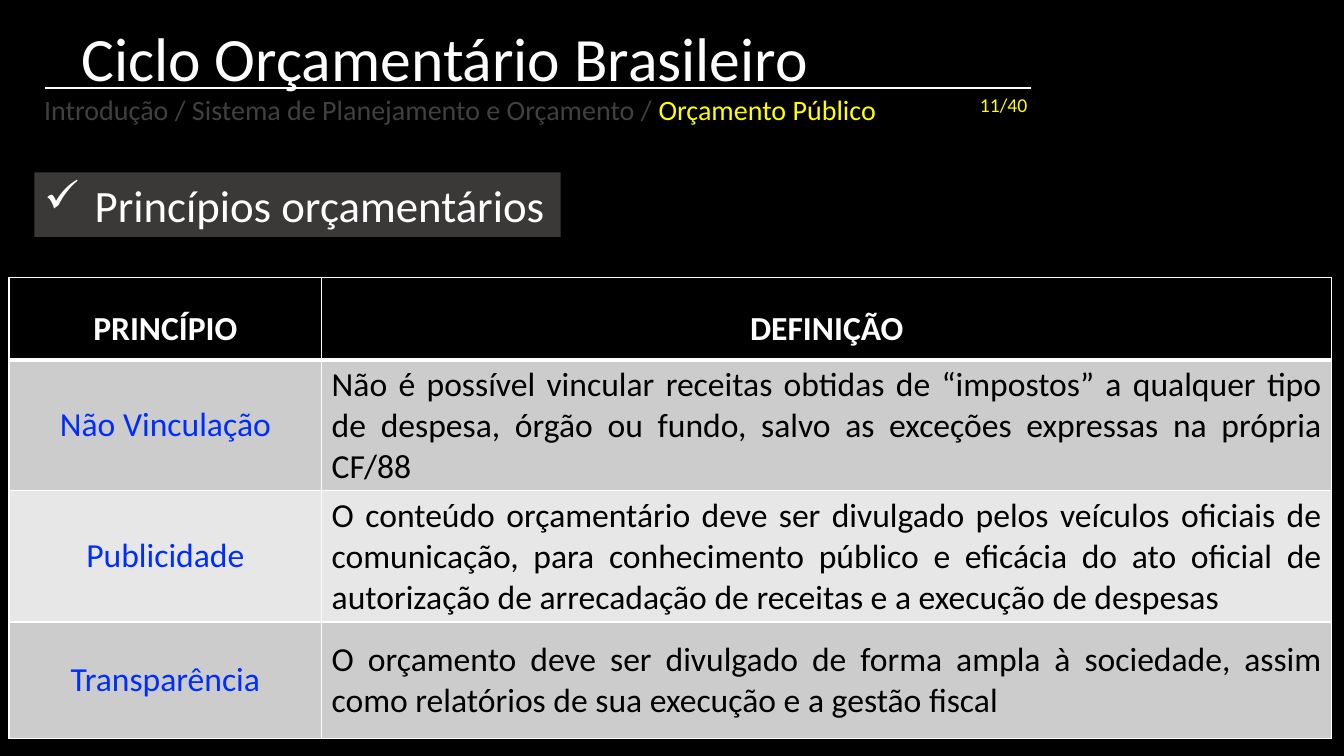
from lxml.etree import SubElement
from pptx import Presentation
from pptx.dml.color import RGBColor
from pptx.enum.shapes import MSO_CONNECTOR, MSO_SHAPE
from pptx.enum.text import MSO_ANCHOR, MSO_AUTO_SIZE, PP_ALIGN
from pptx.oxml.ns import qn
from pptx.util import Inches, Pt

FONT = "Calibri"
WHITE, BLACK, YELLOW = "FFFFFF", "000000", "FFFF00"
GREY, PANEL, BLUE = "404040", "3B3838", "002DFF"
BANDS = ["CCCCCC", "E7E7E7"]

HEADS = ["PRINCÍPIO", "DEFINIÇÃO"]
RULES = [
    ("Não Vinculação",
     "Não é possível vincular receitas obtidas de “impostos” a qualquer tipo "
     "de despesa, órgão ou fundo, salvo as exceções expressas na própria CF/88"),
    ("Publicidade",
     "O conteúdo orçamentário deve ser divulgado pelos veículos oficiais de "
     "comunicação, para conhecimento público e eficácia do ato oficial de "
     "autorização de arrecadação de receitas e a execução de despesas"),
    ("Transparência",
     "O orçamento deve ser divulgado de forma ampla à sociedade, assim como "
     "relatórios de sua execução e a gestão fiscal"),
]


def paint(fmt, color):
    """Give a fill a solid colour."""
    fmt.solid()
    fmt.fore_color.rgb = RGBColor.from_string(color)


def add_run(par, text, size, color, bold=False):
    run = par.add_run()
    run.text = text
    run.font.name = FONT
    run.font.size = Pt(size)
    run.font.bold = bold
    paint(run.font.fill, color)


def add_text(slide, box, runs, size, wrap=False, anchor=MSO_ANCHOR.TOP):
    frame = slide.shapes.add_textbox(*map(Inches, box)).text_frame
    frame.word_wrap = wrap
    frame.auto_size = MSO_AUTO_SIZE.SHAPE_TO_FIT_TEXT
    frame.vertical_anchor = anchor
    for text, color in runs:
        add_run(frame.paragraphs[0], text, size, color)


def add_rule(slide, left, right, top):
    rule = slide.shapes.add_connector(
        MSO_CONNECTOR.STRAIGHT, *map(Inches, (left, top, right, top)))
    paint(rule.line.fill, WHITE)
    rule.line.width = Pt(1.5)
    SubElement(rule._element.spPr, qn("a:effectLst"))


def add_topic(slide, box, text):
    """Filled panel with a check-mark bullet."""
    panel = slide.shapes.add_shape(MSO_SHAPE.RECTANGLE, *map(Inches, box))
    panel.shadow.inherit = False
    paint(panel.fill, PANEL)
    panel.line.fill.background()
    frame = panel.text_frame
    frame.word_wrap = False
    frame.auto_size = MSO_AUTO_SIZE.SHAPE_TO_FIT_TEXT
    frame.vertical_anchor = MSO_ANCHOR.TOP
    par = frame.paragraphs[0]
    par.alignment = PP_ALIGN.LEFT
    props = par._p.get_or_add_pPr()
    props.set("marL", str(Inches(0.5)))
    props.set("indent", str(Inches(-0.5)))
    SubElement(props, qn("a:buChar"), char="✓")
    add_run(par, text, 32, WHITE)


def add_edges(cell, top, bottom):
    """White cell borders; widths in points."""
    props = cell._tc.get_or_add_tcPr()
    for side, width in zip("LRTB", (1, 1, top, bottom)):
        edge = SubElement(props, qn(f"a:ln{side}"), w=str(Pt(width)))
        fill = SubElement(edge, qn("a:solidFill"))
        SubElement(fill, qn("a:srgbClr"), val=WHITE)


def fill_cell(cell, text, color, back, align, head=False, top=1):
    add_edges(cell, top, 3 if head else 1)
    paint(cell.fill, back)
    cell.vertical_anchor = MSO_ANCHOR.MIDDLE
    par = cell.text_frame.paragraphs[0]
    par.alignment = align
    if head:
        par.line_spacing = 1.5
    add_run(par, text, 24, color, head)


def add_grid(slide, box):
    frame = slide.shapes.add_table(len(RULES) + 1, 2, *map(Inches, box))
    table = frame.table
    for col, width in zip(table.columns, (3.1, 10.02)):
        col.width = Inches(width)
    for num, row in enumerate(table.rows):
        row.height = Inches(1.16 if num else 0.82)
    frame.height = Inches(box[3])

    # Header row
    for col, text in enumerate(HEADS):
        fill_cell(table.cell(0, col), text, WHITE, BLACK,
                  PP_ALIGN.CENTER, head=True)

    # Banded body rows
    for num, (name, text) in enumerate(RULES):
        back = BANDS[num % 2]
        top = 1 if num else 3
        fill_cell(table.cell(num + 1, 0), name, BLUE, back,
                  PP_ALIGN.CENTER, top=top)
        fill_cell(table.cell(num + 1, 1), text, BLACK, back,
                  PP_ALIGN.JUSTIFY, top=top)


def main():
    deck = Presentation()
    deck.slide_width, deck.slide_height = Inches(13.33), Inches(7.5)
    slide = deck.slides.add_slide(deck.slide_layouts[6])
    paint(slide.background.fill, BLACK)

    # Title, rule and trail
    add_text(slide, (0.71, 0.14, 9.15, 0.84),
             [("Ciclo Orçamentário Brasileiro", WHITE)], 44,
             wrap=True, anchor=MSO_ANCHOR.MIDDLE)
    add_rule(slide, 0.45, 10.23, 0.87)
    add_text(slide, (0.34, 0.87, 8.53, 0.44),
             [("Introdução / Sistema de Planejamento e Orçamento / ", GREY),
              ("Orçamento Público", YELLOW)], 20)

    # Topic and table
    add_topic(slide, (0.34, 1.71, 5.22, 0.64), "Princípios orçamentários")
    add_grid(slide, (0.09, 2.75, 13.12, 4.58))

    # Page count
    add_text(slide, (9.62, 0.87, 0.68, 0.34), [("11/40", YELLOW)], 14)

    deck.save("out.pptx")


if __name__ == "__main__":
    main()
